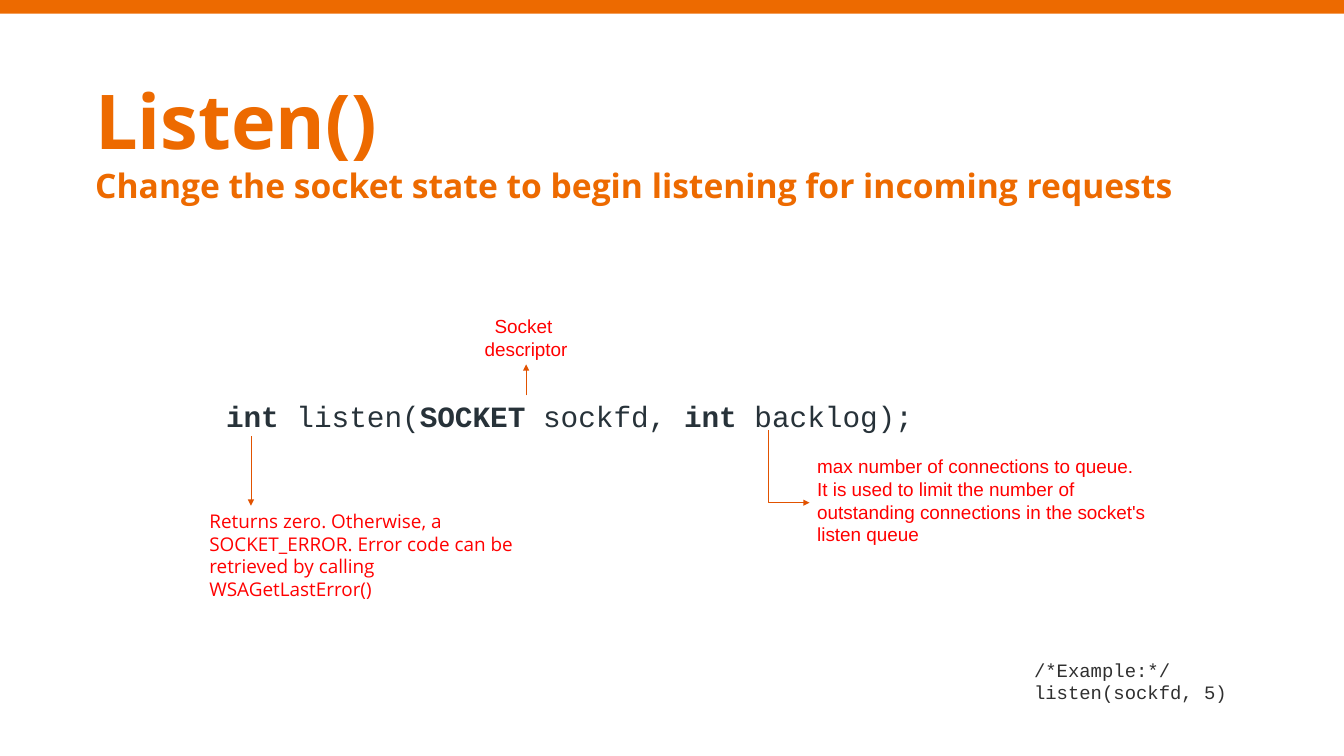
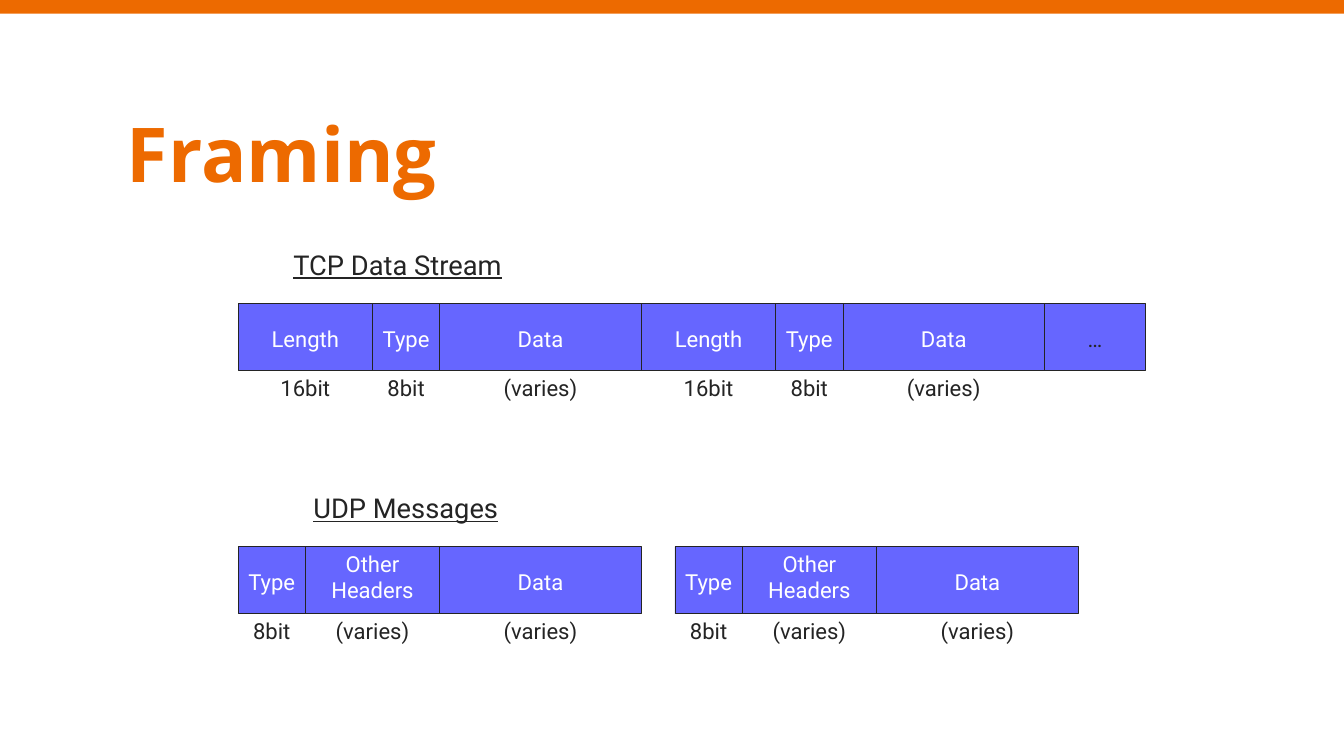
from lxml import etree
from pptx import Presentation
from pptx import util as u
from pptx.dml.color import RGBColor
from pptx.enum import shapes, text
from pptx.oxml import ns

# Shared look
PX = 9144  # EMU per px, 100 px to the inch
PAGE_W, PAGE_H = 1778, 1000
ORANGE, ARROW, RED = "ED6A00", "E15200", "FF0000"
INK, CODE_INK, EXAMPLE_INK = "242424", "273239", "303030"
BLUE, WHITE = "6666FF", "FFFFFF"
TITLE_FONT, CODE_FONT, FRAME_FONT = "Open Sans", "Courier New", "Roboto"
LEFT, CENTER = text.PP_ALIGN.LEFT, text.PP_ALIGN.CENTER

# Slide 1 content: title and signature as (words, size, bold)
LISTEN_TITLE = [("Listen()", 72, True),
                ("Change the socket state to begin listening for incoming requests", 32, True)]
SIGNATURE = [("int", 28, True), (" listen(", 28, False), ("SOCKET", 28, True),
             (" sockfd, ", 28, False), ("int", 28, True), (" backlog);", 28, False)]
# Notes: lines, place, font, colour, alignment, line spacing in points
NOTES = {
    "descriptor": (["Socket ", "descriptor"], (626, 411, 140, 71), "Arial", RED, CENTER, None),
    "backlog": (["max number of connections to queue. It is used to limit the number of "
                 "outstanding connections in the socket's listen queue"],
                (1076, 597, 449, 132), "Arial", RED, LEFT, 21.6),
    "example": (["/*Example:*/", "listen(sockfd, 5)"],
                (1363, 866, 286, 66), CODE_FONT, EXAMPLE_INK, LEFT, None),
    "result": (["Returns zero. Otherwise, a SOCKET_ERROR. Error code can be retrieved "
                "by calling WSAGetLastError()"],
               (272, 669, 449, 102), TITLE_FONT, RED, LEFT, 21.6),
}

# Slide 2 content: fields as (name lines, size note, width in units of 8 bit)
LENGTH = (["Length"], "16bit", 2)
TYPE = (["Type"], "8bit", 1)
DATA = (["Data"], "(varies)", 3)
OTHER = (["Other", "Headers"], "(varies)", 2)
MORE = (["…"], None, 1.5)
HEADINGS = [("TCP Data Stream", 309, 323), ("UDP Messages", 320, 645)]
FRAMES = [(315, 401, [LENGTH, TYPE, DATA, LENGTH, TYPE, DATA, MORE]),
          (315, 723, [TYPE, OTHER, DATA]),
          (893, 723, [TYPE, OTHER, DATA])]
UNIT, FRAME_H, PAD = 88.9, 89, 5


def px(*lengths):
    return [round(length * PX) for length in lengths]


def color(hex_code):
    return RGBColor.from_string(hex_code)


def add_span(para, words, size, font, ink, bold=False, underline=False):
    span = para.add_run()
    span.text = words
    span.font.size, span.font.name = u.Pt(size), font
    span.font.bold, span.font.underline = bold, underline
    span.font.color.rgb = color(ink)


def add_label(parts, lines, place, size, font, ink, align=CENTER, spacing=None, underline=False):
    box = parts.add_textbox(*px(*place))
    frame = box.text_frame
    frame.word_wrap = True
    frame.margin_left = frame.margin_right = frame.margin_top = frame.margin_bottom = px(PAD)[0]
    frame.auto_size = text.MSO_AUTO_SIZE.SHAPE_TO_FIT_TEXT
    for number, words in enumerate(lines):
        para = frame.add_paragraph() if number else frame.paragraphs[0]
        para.alignment = align
        if spacing:
            para.line_spacing = u.Pt(spacing)
        add_span(para, words, size, font, ink, underline=underline)
    return box


def fill_placeholder(holder, place, spans, font, ink, indent=0, stacked=False):
    holder.left, holder.top, holder.width, holder.height = px(*place)
    frame = holder.text_frame
    frame.margin_left = frame.margin_right = frame.margin_top = frame.margin_bottom = 0
    frame.vertical_anchor = text.MSO_ANCHOR.MIDDLE
    frame.auto_size, frame.word_wrap = text.MSO_AUTO_SIZE.NONE, True
    para = frame.paragraphs[0]
    para.alignment, para.space_before = LEFT, u.Pt(0)
    layout = para._p.get_or_add_pPr()
    layout.set("marL", "0")
    layout.set("indent", str(px(indent)[0]))
    etree.SubElement(layout, ns.qn("a:buNone"))
    for number, (words, size, bold) in enumerate(spans):
        if stacked and number:
            para.add_line_break()
        add_span(para, words, size, font, ink, bold)


def style_line(shape, ink, arrow=False):
    shape.line.color.rgb, shape.line.width = color(ink), u.Pt(0.75)
    if arrow:
        etree.SubElement(shape.line._get_or_add_ln(), ns.qn("a:tailEnd"), type="triangle")


def add_line(parts, start, end, ink, arrow=False):
    line = parts.add_connector(shapes.MSO_CONNECTOR.STRAIGHT, *px(*start, *end))
    style_line(line, ink, arrow)
    etree.SubElement(line.element.spPr, ns.qn("a:effectLst"))
    return line


def add_bar(parts, place, fill, outline=None):
    bar = parts.add_shape(shapes.MSO_SHAPE.RECTANGLE, *px(*place))
    bar.shadow.inherit = False
    bar.fill.solid()
    bar.fill.fore_color.rgb = color(fill)
    if outline:
        style_line(bar, outline)
    else:
        bar.line.fill.background()
    return bar


def put_band_on_master(deck, page):
    band = add_bar(page.shapes, (-1, -1, 1781, 19), ORANGE)
    band.element.nvSpPr.cNvPr.set("id", "99")
    deck.slide_master.shapes.element.insert(2, band.element)


def build_listen(page):
    fill_placeholder(page.shapes.title, (126, 92, 1524, 186), LISTEN_TITLE,
                     TITLE_FONT, ORANGE, stacked=True)
    signature = page.placeholders[1]
    fill_placeholder(signature, (299, 522, 1001, 56), SIGNATURE, CODE_FONT, CODE_INK)
    signature.fill.solid()
    signature.fill.fore_color.rgb = color(WHITE)

    notes = {name: add_label(page.shapes, lines, place, 18, font, ink, align, spacing)
             for name, (lines, place, font, ink, align, spacing) in NOTES.items()}

    # Arrows from the signature to its notes
    up = add_line(page.shapes, (696, 523), (696, 484), ARROW, arrow=True)
    up.end_connect(notes["descriptor"], 2)
    add_line(page.shapes, (332, 577), (332, 669), ARROW, arrow=True)
    path = page.shapes.build_freeform(1016, 569, scale=PX)
    path.add_line_segments([(1016, 665), (1071, 665)], close=False)
    elbow = path.convert_to_shape()
    elbow.shadow.inherit = False
    elbow.fill.background()
    style_line(elbow, ARROW, arrow=True)


def draw_frame(page, left, top, fields):
    parts = page.shapes.add_group_shape().shapes
    total = sum(units for _, _, units in fields)
    bar = add_bar(parts, (left, top, total * UNIT, FRAME_H), BLUE, INK)
    used = 0
    for lines, note, units in fields:
        x, width = left + used * UNIT, units * UNIT
        if used:
            divider = add_line(parts, (x, top), (x, top + FRAME_H), INK)
            if used * 2 == total:
                divider.begin_connect(bar, 0)
                divider.end_connect(bar, 2)
        name_top, name_h = (top, 79) if len(lines) > 1 else (top + 24, 45)
        add_label(parts, lines, (x + PAD, name_top, width - 2 * PAD, name_h), 21,
                  FRAME_FONT, WHITE if note else INK)
        if note:
            add_label(parts, [note], (x + PAD, top + FRAME_H, width - 2 * PAD, 45), 21,
                      FRAME_FONT, INK)
        used += units


def build_framing(page):
    fill_placeholder(page.shapes.title, (143, 108, 1524, 186), [("Framing", 72, True)],
                     TITLE_FONT, ORANGE, indent=25)
    for words, left, top in HEADINGS:
        add_label(page.shapes, [words], (left, top, 434, 53), 26, FRAME_FONT, INK, underline=True)
    for left, top, fields in FRAMES:
        draw_frame(page, left, top, fields)


def main():
    deck = Presentation()
    deck.slide_width, deck.slide_height = px(PAGE_W, PAGE_H)
    listen = deck.slides.add_slide(deck.slide_layouts[1])
    put_band_on_master(deck, listen)
    build_listen(listen)
    build_framing(deck.slides.add_slide(deck.slide_layouts[5]))
    deck.save("out.pptx")


if __name__ == "__main__":
    main()
